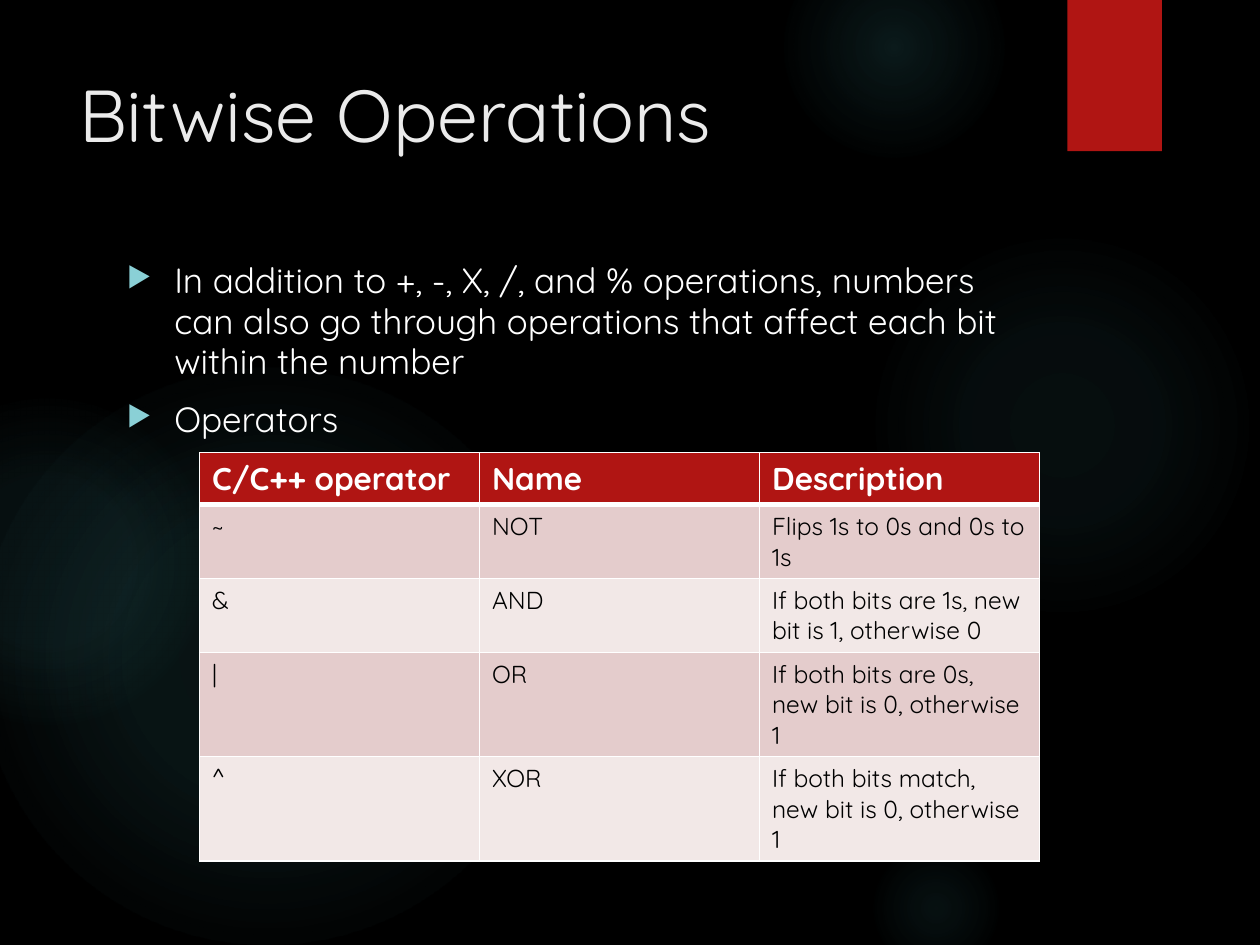
"""Build the slide that introduces the bitwise operators."""
from dataclasses import dataclass

from pptx import Presentation
from pptx.dml.color import RGBColor
from pptx.enum.shapes import MSO_SHAPE
from pptx.enum.text import MSO_ANCHOR, PP_ALIGN
from pptx.oxml import parse_xml
from pptx.oxml.ns import nsdecls, qn
from pptx.util import Pt


@dataclass(frozen=True)
class Theme:
    font: str = "Quicksand"
    background: str = "000000"
    title: str = "EBEBEB"
    light: str = "FFFFFF"
    dark: str = "000000"
    accent: str = "B01513"
    glow: str = "50B9C1"
    bullet: str = "8AD0D6"
    bands: tuple[str, str] = ("E4CCCC", "F2E8E7")
    title_size: int = 42
    body_size: int = 20
    header_size: int = 18
    cell_size: int = 14


@dataclass(frozen=True)
class Glow:
    left: float
    top: float
    diameter: float
    inner: int
    middle: int
    fade: int


@dataclass(frozen=True)
class Operator:
    symbol: str
    name: str
    description: str
    lines: int


THEME = Theme()
GLOWS = (
    Glow(496, 132, 222, 7, 6, 69),
    Glow(448, -36, 126, 14, 7, 73),
    Glow(496, 480, 78, 9, 5, 66),
    Glow(-12, 210, 330, 11, 10, 75),
    Glow(-66, 228, 186, 8, 8, 72),
)
POINTS = (
    "In addition to +, -, X, /, and % operations, numbers can also go through "
    "operations that affect each bit within the number",
    "Operators",
)
HEADERS = ("C/C++ operator", "Name", "Description")
OPERATORS = (
    Operator("~", "NOT", "Flips 1s to 0s and 0s to 1s", 2),
    Operator("&", "AND", "If both bits are 1s, new bit is 1, otherwise 0", 2),
    Operator("|", "OR", "If both bits are 0s, new bit is 0, otherwise 1", 3),
    Operator("^", "XOR", "If both bits match, new bit is 0, otherwise 1", 3),
)
LINE_FACTOR = 1.25
CELL_PADDING = 7.2
COLUMN_WIDTH = 160


def style_text(para, size: int, color: str, bold: bool = False) -> None:
    """Format every run of a paragraph."""
    for span in para.runs:
        span.font.name = THEME.font
        span.font.size = Pt(size)
        span.font.bold = bold
        span.font.color.rgb = RGBColor.from_string(color)


def add_glow(page, glow: Glow) -> None:
    """Draw a soft circle that fades outwards."""
    shape = page.shapes.add_shape(
        MSO_SHAPE.OVAL, Pt(glow.left), Pt(glow.top), Pt(glow.diameter), Pt(glow.diameter)
    )
    shape.shadow.inherit = False
    shape.line.fill.background()
    shape.fill.solid()
    stops = "".join(
        f'<a:gs pos="{position * 1000}"><a:srgbClr val="{THEME.glow}">'
        f'<a:alpha val="{alpha * 1000}"/></a:srgbClr></a:gs>'
        for position, alpha in ((0, glow.inner), (36, glow.middle), (glow.fade, 0))
    )
    gradient = parse_xml(
        f'<a:gradFill {nsdecls("a")} rotWithShape="1"><a:gsLst>{stops}</a:gsLst>'
        '<a:path path="circle"><a:fillToRect l="50000" t="50000" r="50000" b="50000"/>'
        "</a:path></a:gradFill>"
    )
    properties = shape._element.spPr
    properties.replace(properties.find(qn("a:solidFill")), gradient)


def add_ribbon(page) -> None:
    """Draw the red tab at the top edge with its shadow."""
    shape = page.shapes.add_shape(MSO_SHAPE.RECTANGLE, Pt(610), Pt(0), Pt(54), Pt(86.4))
    shape.fill.solid()
    shape.fill.fore_color.rgb = RGBColor.from_string(THEME.accent)
    shape.line.fill.background()
    shape.shadow.inherit = False
    shape._element.spPr.find(qn("a:effectLst")).append(parse_xml(
        f'<a:outerShdw {nsdecls("a")} blurRad="{Pt(3)}" dist="{Pt(2)}" dir="5400000" '
        'rotWithShape="0"><a:srgbClr val="000000"><a:alpha val="45000"/></a:srgbClr>'
        "</a:outerShdw>"
    ))


def set_title(page, text: str) -> None:
    """Place and format the title placeholder."""
    title = page.shapes.title
    title.left, title.top, title.width, title.height = Pt(38), Pt(36), Pt(556), Pt(110)
    frame = title.text_frame
    frame.text = text
    frame.vertical_anchor = MSO_ANCHOR.TOP
    frame.paragraphs[0].alignment = PP_ALIGN.LEFT
    style_text(frame.paragraphs[0], THEME.title_size, THEME.title)


def add_points(page, points: tuple[str, ...]) -> None:
    """Write the bulleted text."""
    box = page.shapes.add_textbox(Pt(65.5), Pt(146), Pt(528.5), Pt(346))
    frame = box.text_frame
    frame.word_wrap = True
    for index, text in enumerate(points):
        para = frame.add_paragraph() if index else frame.paragraphs[0]
        para.text = text
        properties = para._p.get_or_add_pPr()
        properties.set("marL", str(Pt(27)))
        properties.set("indent", str(-Pt(27)))
        for bullet in (
            f'<a:buClr {nsdecls("a")}><a:srgbClr val="{THEME.bullet}"/></a:buClr>',
            f'<a:buSzPct {nsdecls("a")} val="80000"/>',
            f'<a:buChar {nsdecls("a")} char="▶"/>',
        ):
            properties.append(parse_xml(bullet))
        para.line_spacing = 0.96
        para.space_before = Pt(10 if index else 0)
        style_text(para, THEME.body_size, THEME.light)


def fill_cell(cell, text: str, size: int, color: str, fill: str, header: bool) -> None:
    """Write one table cell with its borders and fill."""
    cell.text = text
    style_text(cell.text_frame.paragraphs[0], size, color, header)
    properties = cell._tc.get_or_add_tcPr()
    for side in "LRTB":
        width = Pt(3 if header and side == "B" else 1)
        properties.append(parse_xml(
            f'<a:ln{side} {nsdecls("a")} w="{width}"><a:solidFill>'
            f'<a:srgbClr val="{THEME.light}"/></a:solidFill></a:ln{side}>'
        ))
    cell.fill.solid()
    cell.fill.fore_color.rgb = RGBColor.from_string(fill)


def add_operator_table(page, operators: tuple[Operator, ...]) -> None:
    """Lay out the operators below a header row."""
    heights = [THEME.header_size * LINE_FACTOR + CELL_PADDING] + [
        item.lines * THEME.cell_size * LINE_FACTOR + CELL_PADDING for item in operators
    ]
    table = page.shapes.add_table(
        len(heights), len(HEADERS), Pt(114), Pt(258.7),
        Pt(COLUMN_WIDTH * len(HEADERS)), Pt(sum(heights)),
    ).table
    for column in table.columns:
        column.width = Pt(COLUMN_WIDTH)
    for row, height in zip(table.rows, heights):
        row.height = Pt(height)
    for column, text in enumerate(HEADERS):
        fill_cell(table.cell(0, column), text, THEME.header_size, THEME.light, THEME.accent, True)
    for index, item in enumerate(operators):
        for column, text in enumerate((item.symbol, item.name, item.description)):
            fill_cell(table.cell(index + 1, column), text, THEME.cell_size, THEME.dark,
                      THEME.bands[index % 2], False)


def main() -> None:
    """Assemble and save the deck."""
    deck = Presentation()
    deck.slide_width, deck.slide_height = Pt(720), Pt(540)
    page = deck.slides.add_slide(deck.slide_layouts[5])
    page.background.fill.solid()
    page.background.fill.fore_color.rgb = RGBColor.from_string(THEME.background)
    for glow in GLOWS:
        add_glow(page, glow)
    add_ribbon(page)
    set_title(page, "Bitwise Operations")
    add_points(page, POINTS)
    add_operator_table(page, OPERATORS)
    deck.save("out.pptx")


if __name__ == "__main__":
    main()
